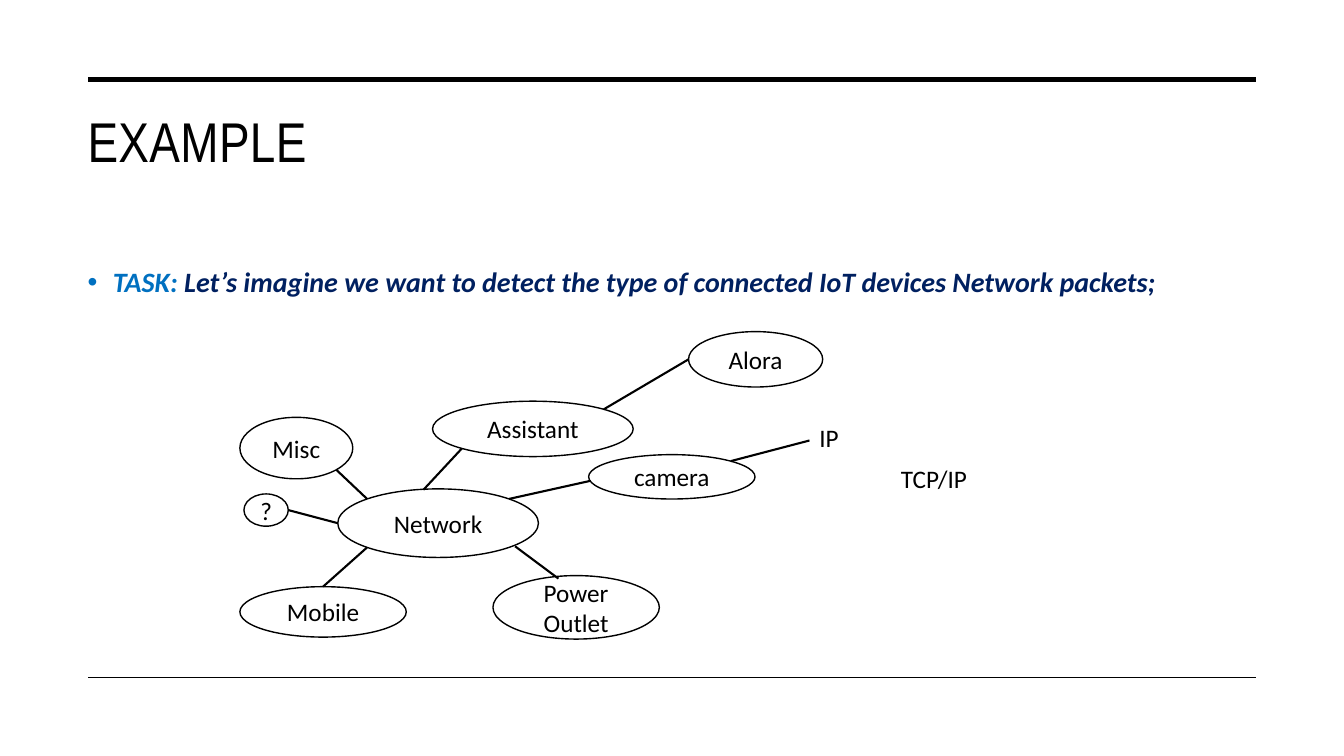
import math
import pptx
import pptx.util
import pptx.dml.color
import pptx.enum.shapes
import pptx.enum.text
import pptx.oxml.ns
import lxml.etree

THEME = {
    "ink": "000000", "task": "0070C0", "note": "002060",
    "head": "Arial Narrow", "body": "Calibri",
    "title": 40, "lead": 20, "node": 18,
    "thick": 3.5, "thin": 1, "link": 1.5,
}
ALIGN = pptx.enum.text.PP_ALIGN
ANCHOR = pptx.enum.text.MSO_ANCHOR
WIDE, HIGH = pptx.util.Inches(13.33), pptx.util.Inches(7.5)
COL, ROW = WIDE / 100, HIGH / 100

HEAD = (5.78, 13.47, 87.7, 13.6)
LEAD = (5.78, 33.47, 87.7, 53.07)
MAP = (17.85, 43.87)
RULES = [(10.53, "thick"), (89.6, "thin")]

NODES = {
    "Network": (7.28, 20.8, 14.93, 9.07),
    "Mobile": (0, 33.73, 12.38, 6.67),
    "?": (0.3, 21.47, 3.3, 4.27),
    "Power Outlet": (18.83, 32.27, 12.38, 8.4),
    "camera": (25.95, 16.27, 12.38, 5.87),
    "Assistant": (14.33, 9.2, 14.93, 7.33),
    "Alora": (33.38, 0, 9.98, 7.33),
    "Misc": (0, 11.33, 8.4, 8.13),
}
LABELS = {
    "IP": (42.38, 11.33, 3.45, 4.93),
    "TCP/IP": (48.45, 16.8, 7.58, 4.93),
}
LINKS = [
    (("Network", "w"), ("?", "e")),
    (("Mobile", "n"), ("Network", "sw")),
    ((23.7, 32.67), (20.48, 28.4)),
    (("Network", "ne"), (26.1, 19.73)),
    ((42.38, 14.4), ("camera", "ne")),
    ((13.65, 20.93), ("Assistant", "sw")),
    (("Alora", "w"), ("Assistant", "ne")),
    (("Network", "nw"), ("Misc", "se")),
]
TURNS = ("e", "se", "s", "sw", "w", "nw", "n", "ne")


def tint(key):
    return pptx.dml.color.RGBColor.from_string(THEME[key])


def apply(item, vals):
    for name, val in vals.items():
        setattr(item, name, val)


def place(base, box):
    x, y, w, h = box
    return (round((base[0] + x) * COL), round((base[1] + y) * ROW),
            round(w * COL), round(h * ROW))


def write(para, text, size, face="body", hue="ink", **more):
    run = para.add_run()
    run.text = text
    apply(run.font, {"size": pptx.util.Pt(THEME[size]), "name": THEME[face], **more})
    run.font.color.rgb = tint(hue)
    return run


def draw_line(slide, start, end, width):
    kind = pptx.enum.shapes.MSO_CONNECTOR.STRAIGHT
    spots = [round(n * unit) for point in (start, end)
             for n, unit in zip(point, (COL, ROW))]
    line = slide.shapes.add_connector(kind, *spots)
    line.line.color.rgb = tint("ink")
    line.line.width = pptx.util.Pt(THEME[width])
    props = line._element.spPr
    lxml.etree.SubElement(props, pptx.oxml.ns.qn("a:effectLst"))


def add_text(slide, box, base=(0, 0), wrap=True):
    frame = slide.shapes.add_textbox(*place(base, box)).text_frame
    apply(frame, {"word_wrap": wrap, "vertical_anchor": ANCHOR.TOP})
    return frame


def draw_frame(slide):
    for y, width in RULES:
        draw_line(slide, (6.58, y), (93.48, y), width)


def draw_title(slide, box):
    frame = add_text(slide, box)
    run = write(frame.paragraphs[0], "EXAMPLE", "title", "head")
    run.font._element.set("spc", "30")


def draw_task(slide, box):
    para = add_text(slide, box).paragraphs[0]
    apply(para, {"line_spacing": 1.2, "space_before": pptx.util.Pt(10)})
    dent = pptx.util.Inches(0.25)
    props = para._p.get_or_add_pPr()
    props.set("marL", str(dent))
    props.set("indent", str(-dent))
    qn = pptx.oxml.ns.qn
    lxml.etree.SubElement(props, qn("a:buFont")).set("typeface", "Arial")
    lxml.etree.SubElement(props, qn("a:buChar")).set("char", "•")
    style = {"bold": True, "italic": True}
    write(para, "TASK: ", "lead", hue="task", **style)
    write(para, "Let’s imagine we want to detect the type of connected "
          "IoT devices Network packets;", "lead", hue="note", **style)


def draw_node(slide, base, text, box):
    kind = pptx.enum.shapes.MSO_SHAPE.OVAL
    node = slide.shapes.add_shape(kind, *place(base, box))
    node.shadow.inherit = False
    node.fill.background()
    node.line.color.rgb = tint("ink")
    node.line.width = pptx.util.Pt(THEME["thin"])
    apply(node.text_frame, {"word_wrap": True, "vertical_anchor": ANCHOR.MIDDLE})
    para = node.text_frame.paragraphs[0]
    para.alignment = ALIGN.CENTER
    write(para, text, "node")


def find_end(base, end):
    if end[0] in NODES:
        x, y, w, h = NODES[end[0]]
        turn = TURNS.index(end[1]) * math.pi / 4
        end = (x + w / 2 * (1 + math.cos(turn)), y + h / 2 * (1 + math.sin(turn)))
    return base[0] + end[0], base[1] + end[1]


def draw_map(slide, base):
    for text, box in NODES.items():
        draw_node(slide, base, text, box)
    for start, end in LINKS:
        draw_line(slide, find_end(base, start), find_end(base, end), "link")
    for text, box in LABELS.items():
        frame = add_text(slide, box, base, False)
        write(frame.paragraphs[0], text, "node")


def main():
    deck = pptx.Presentation()
    apply(deck, {"slide_width": WIDE, "slide_height": HIGH})
    slide = deck.slides.add_slide(deck.slide_layouts[6])
    draw_frame(slide)
    draw_title(slide, HEAD)
    draw_task(slide, LEAD)
    draw_map(slide, MAP)
    deck.save("out.pptx")


if __name__ == "__main__":
    main()
